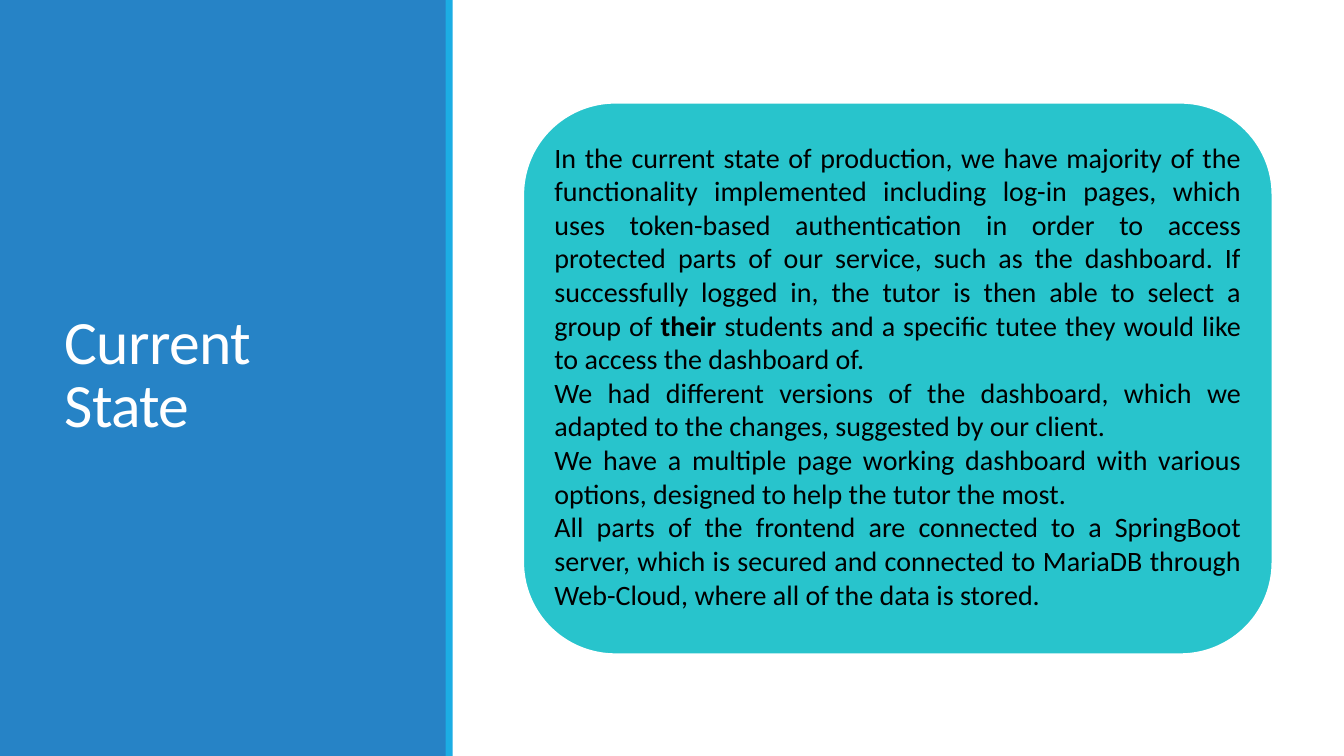
from pptx import Presentation
from pptx.dml.color import RGBColor
from pptx.enum.shapes import MSO_SHAPE
from pptx.enum.text import MSO_ANCHOR, MSO_AUTO_SIZE, PP_ALIGN
from pptx.util import Inches, Pt

BLUE = RGBColor(0x26, 0x83, 0xC6)
SKY = RGBColor(0x1C, 0xAD, 0xE4)
TEAL = RGBColor(0x28, 0xC4, 0xCC)
WHITE = RGBColor(0xFF, 0xFF, 0xFF)
BLACK = RGBColor(0x00, 0x00, 0x00)
FONT = "Calibri"

# Each paragraph is a list of (text, bold) runs
STATE_PARAGRAPHS = [
    [
        ("In the current state of production, we have majority of the "
         "functionality implemented including log-in pages, which uses "
         "token-based authentication in order to access protected parts of "
         "our service, such as the dashboard. If successfully logged in, the "
         "tutor is then able to select a group of ", False),
        ("their ", True),
        ("students and a specific tutee they would like to access the "
         "dashboard of.", False),
    ],
    [("We had different versions of the dashboard, which we adapted to the "
      "changes, suggested by our client.", False)],
    [("We have a multiple page working dashboard with various options, "
      "designed to help the tutor the most.", False)],
    [("All parts of the frontend are connected to a SpringBoot server, which "
      "is secured and connected to MariaDB through Web-Cloud, where all of "
      "the data is stored.", False)],
]


def add_panel(slide, kind, left, top, width, height, fill, line=None):
    shape = slide.shapes.add_shape(
        kind, Inches(left), Inches(top), Inches(width), Inches(height))
    shape.shadow.inherit = False
    shape.fill.solid()
    shape.fill.fore_color.rgb = fill
    if line is None:
        shape.line.fill.background()
    else:
        shape.line.color.rgb = line
        shape.line.width = Pt(1.25)
    return shape


def set_font(font, size, color):
    font.name = FONT
    font.size = Pt(size)
    font.color.rgb = color


def fill_title(slide, text):
    title = slide.shapes.title
    title.left, title.top = Inches(0.54), Inches(0.66)
    title.width, title.height = Inches(3.37), Inches(6.17)
    frame = title.text_frame
    frame.text = text
    frame.word_wrap = True
    frame.auto_size = MSO_AUTO_SIZE.NONE
    frame.vertical_anchor = MSO_ANCHOR.MIDDLE
    paragraph = frame.paragraphs[0]
    paragraph.alignment = PP_ALIGN.LEFT
    paragraph.line_spacing = 0.85
    set_font(paragraph.font, 44, WHITE)
    # Tighten the letters by half a point
    paragraph.runs[0].font._element.set("spc", "-50")
    # Bring the title in front of the side panel
    slide.shapes._spTree.append(title._element)


def add_body_text(slide, paragraphs):
    box = slide.shapes.add_textbox(
        Inches(5.4), Inches(1.34), Inches(7.01), Inches(4.81))
    frame = box.text_frame
    frame.word_wrap = True
    frame.auto_size = MSO_AUTO_SIZE.SHAPE_TO_FIT_TEXT
    for index, runs in enumerate(paragraphs):
        paragraph = frame.add_paragraph() if index else frame.paragraphs[0]
        paragraph.alignment = PP_ALIGN.JUSTIFY
        set_font(paragraph.font, 20, BLACK)
        for text, bold in runs:
            run = paragraph.add_run()
            run.text = text
            if bold:
                run.font.bold = True


def main():
    presentation = Presentation()
    presentation.slide_width = Inches(13.33)
    presentation.slide_height = Inches(7.5)
    slide = presentation.slides.add_slide(presentation.slide_layouts[5])

    # Side panel with its accent strip and title
    add_panel(slide, MSO_SHAPE.RECTANGLE, 0, 0, 4.43, 7.5, BLUE)
    fill_title(slide, "Current State")
    add_panel(slide, MSO_SHAPE.RECTANGLE, 4.42, 0, 0.07, 7.5, SKY)

    # Rounded card with the description
    add_panel(slide, MSO_SHAPE.ROUNDED_RECTANGLE,
              5.19, 1.02, 7.43, 5.47, TEAL, WHITE)
    add_body_text(slide, STATE_PARAGRAPHS)

    presentation.save("out.pptx")


if __name__ == "__main__":
    main()
